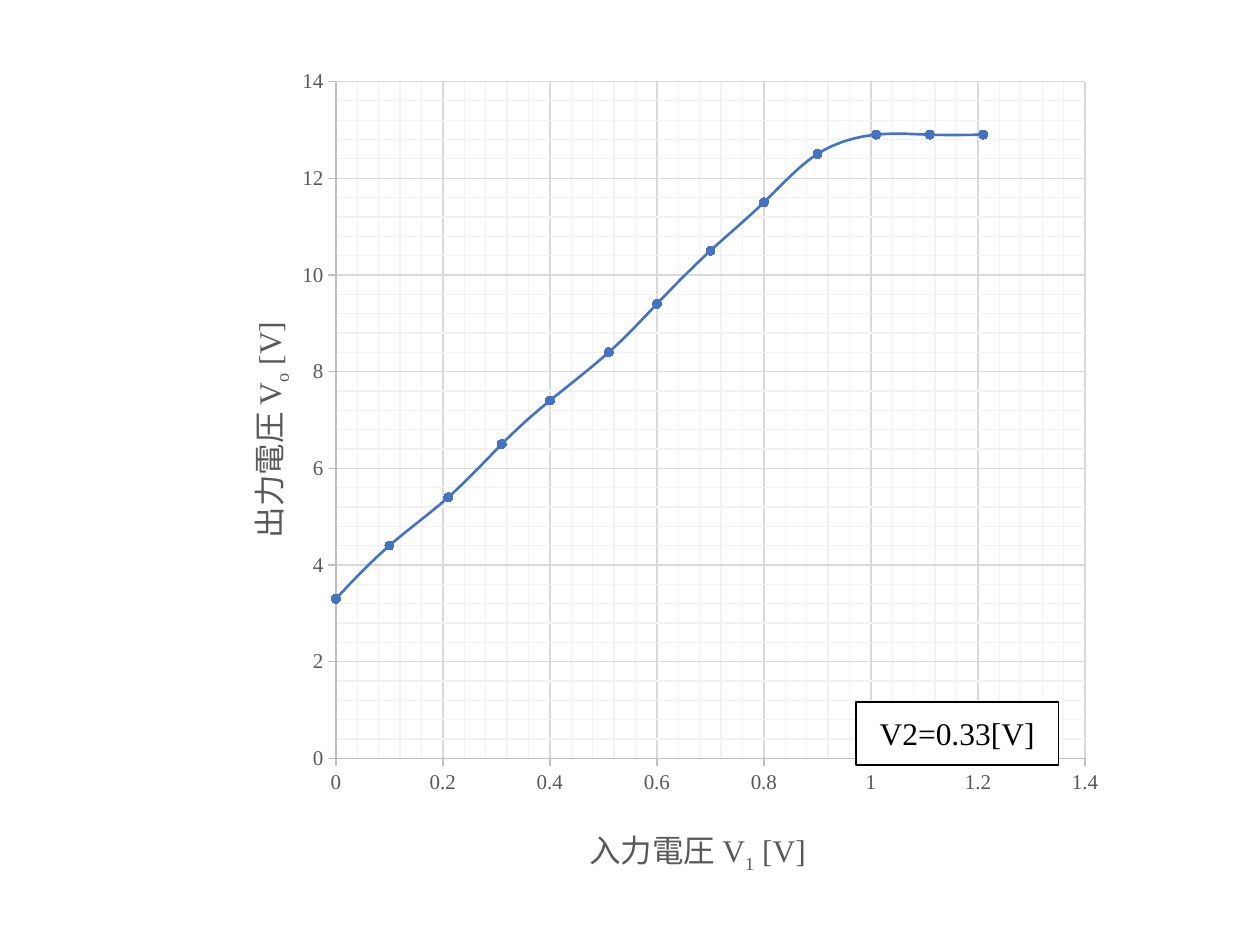
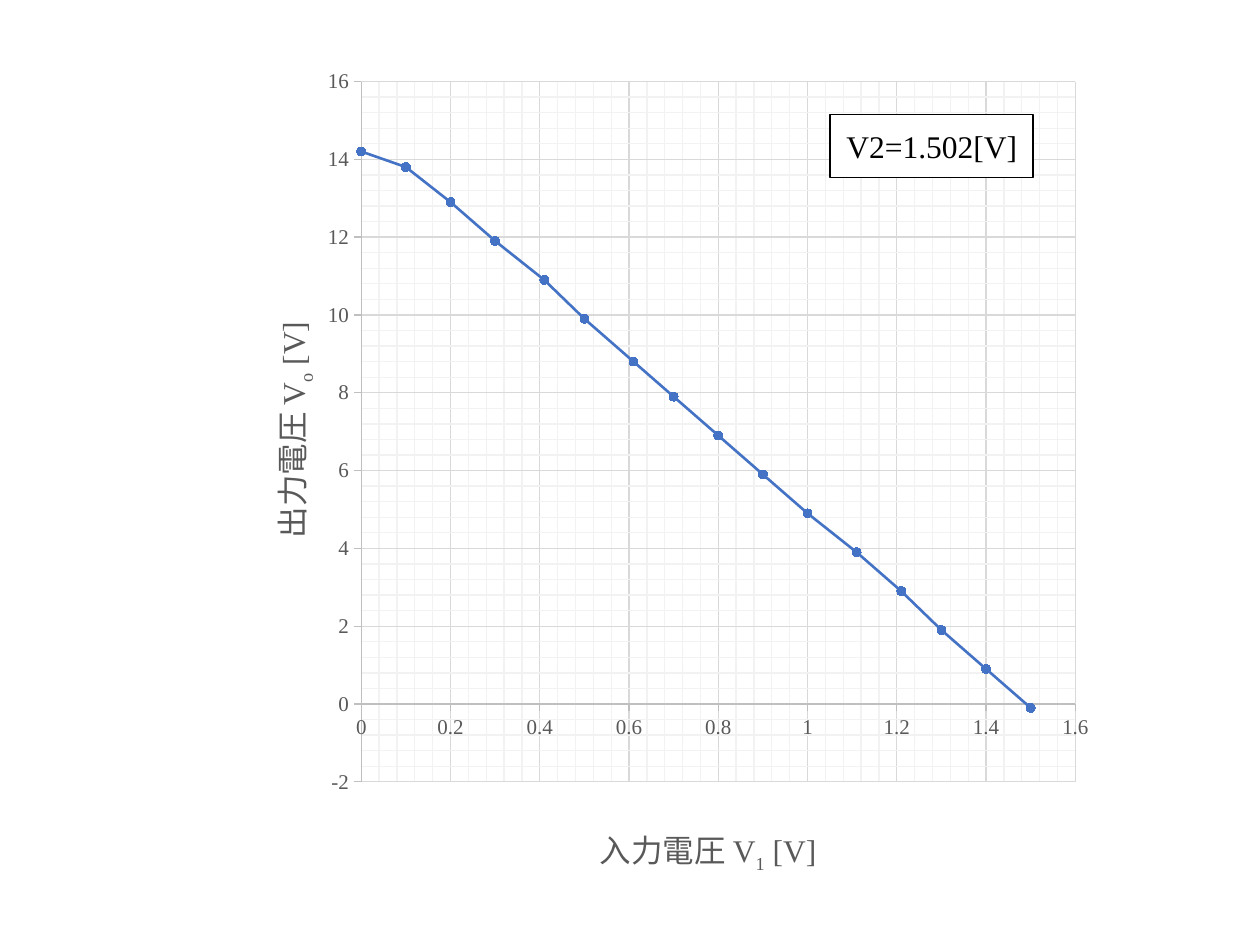
from copy import deepcopy
from lxml.etree import SubElement
from pptx import Presentation
from pptx.chart.data import XyChartData
from pptx.dml.color import RGBColor
from pptx.enum.chart import XL_CHART_TYPE, XL_MARKER_STYLE, XL_TICK_MARK
from pptx.enum.shapes import MSO_SHAPE
from pptx.enum.text import MSO_ANCHOR, PP_ALIGN
from pptx.oxml.ns import qn
from pptx.util import Cm, Pt

FONT = "Times New Roman"
HUES = {"ink": "000000", "paper": "FFFFFF", "label": "595959", "axis": "BFBFBF",
        "major": "D9D9D9", "minor": "F2F2F2", "curve": "4472C4"}
AXIS = {"has_major_gridlines": True, "has_minor_gridlines": True,
        "major_tick_mark": XL_TICK_MARK.OUTSIDE, "minor_tick_mark": XL_TICK_MARK.NONE}
LABEL = {"number_format": "General", "number_format_is_linked": False}
MARK = {"style": XL_MARKER_STYLE.CIRCLE, "size": 5}
CHART = {"has_title": False, "has_legend": False}
NOTE = {"word_wrap": True, "vertical_anchor": MSO_ANCHOR.MIDDLE}


def apply(item, values):
    for name, value in values.items():
        setattr(item, name, value)


def hue(name):
    return RGBColor.from_string(HUES[name])


def type_set(font, size, color):
    apply(font, {"name": FONT, "size": Pt(size), "bold": False})
    font.color.rgb = hue(color)


def fill(item, color):
    item.fill.solid()
    item.fill.fore_color.rgb = hue(color)


def stroke(line, color, width):
    line.color.rgb = hue(color)
    line.width = Pt(width)


def arrange(node, index, **parts):
    """Place a chart part by fractions of the chart box."""
    for old in node.findall(qn("c:layout")):
        node.remove(old)
    frame = SubElement(node, qn("c:layout"))
    node.insert(index, frame)
    spot = SubElement(frame, qn("c:manualLayout"))
    if "w" in parts:
        SubElement(spot, qn("c:layoutTarget")).set("val", "inner")
    for key in "xy":
        SubElement(spot, qn(f"c:{key}Mode")).set("val", "edge")
    for key, part in parts.items():
        SubElement(spot, qn(f"c:{key}")).set("val", str(part))


def add_title(axis, words, sub, x, y, turn):
    title = axis.axis_title
    frame = title.text_frame
    para = frame.paragraphs[0]
    for text in (f"{words} V", sub, " [V]"):
        run = para.add_run()
        run.text = text
        type_set(run.font, 18, "label")
        if text == sub:
            run._r.get_or_add_rPr().set("baseline", "-25000")
    body = frame._txBody.find(qn("a:bodyPr"))
    body.set("rot", str(turn * 60000))
    body.set("vert", "horz")
    arrange(title._element, 1, x=x, y=y)


def add_axis(axis, low, high, step):
    apply(axis, AXIS)
    apply(axis, {"minimum_scale": low, "maximum_scale": high,
                 "major_unit": step, "minor_unit": step / 5})
    stroke(axis.format.line, "axis", 0.75)
    stroke(axis.major_gridlines.format.line, "major", 0.75)
    # Minor grid takes the major line in a lighter colour
    major, minor = (axis._element.find(qn(f"c:{name}Gridlines"))
                    for name in ("major", "minor"))
    look = deepcopy(major.find(qn("c:spPr")))
    next(look.iter(qn("a:srgbClr"))).set("val", HUES["minor"])
    minor.append(look)
    apply(axis.tick_labels, LABEL)
    type_set(axis.tick_labels.font, 12, "label")


def add_graph(slide, box, kind, points, right, low, high, plot):
    data = XyChartData()
    rows = data.add_series("Series 1")
    for x, y in points:
        rows.add_data_point(x, y)
    chart = slide.shapes.add_chart(kind, *map(Cm, box), data).chart
    apply(chart, CHART)
    type_set(chart.font, 10, "ink")
    chart.plots[0].vary_by_categories = False
    # Axes and titles
    add_axis(chart.category_axis, 0, right, 0.2)
    add_axis(chart.value_axis, low, high, 2)
    add_title(chart.category_axis, "入力電圧", "1", 0.42, 0.915, 0)
    add_title(chart.value_axis, "出力電圧", "o", 0.04, 0.316, -90)
    # Curve
    curve = chart.plots[0].series[0]
    smooth = kind == XL_CHART_TYPE.XY_SCATTER_SMOOTH
    curve._element.find(qn("c:smooth")).set("val", str(int(smooth)))
    stroke(curve.format.line, "curve", 1.5)
    apply(curve.marker, MARK)
    fill(curve.marker.format, "curve")
    stroke(curve.marker.format.line, "curve", 0.75)
    # Plot area
    area = next(chart._chartSpace.iter(qn("c:plotArea")))
    arrange(area, 0, **dict(zip("xywh", plot)))


def add_note(slide, box, text, dx, dy):
    left, top = box[:2]
    note = slide.shapes.add_shape(MSO_SHAPE.RECTANGLE, Cm(left + dx), Cm(top + dy),
                                  Cm(4.09), Cm(1.27))
    note.shadow.inherit = False
    fill(note, "paper")
    stroke(note.line, "ink", 1)
    apply(note.text_frame, NOTE)
    para = note.text_frame.paragraphs[0]
    para.alignment = PP_ALIGN.CENTER
    run = para.add_run()
    run.text = text
    type_set(run.font, 18, "ink")


RISE = zip([0, 0.1, 0.21, 0.31, 0.4, 0.51, 0.6, 0.7, 0.8, 0.9, 1.01, 1.11, 1.21],
           [3.3, 4.4, 5.4, 6.5, 7.4, 8.4, 9.4, 10.5, 11.5, 12.5, 12.9, 12.9, 12.9])
FALL = zip([0, 0.1, 0.2, 0.3, 0.41, 0.5, 0.61, 0.7, 0.8, 0.9, 1, 1.11, 1.21, 1.3, 1.4, 1.5],
           [14.2, 13.8, 12.9, 11.9, 10.9, 9.9, 8.8, 7.9, 6.9, 5.9, 4.9, 3.9, 2.9, 1.9,
            0.9, -0.1])
SLIDES = [
    {"box": (4.06, 1.07, 18.44, 16.89),
     "graph": (XL_CHART_TYPE.XY_SCATTER_SMOOTH, RISE, 1.4, 0, 14,
               (0.147, 0.034, 0.819, 0.808)),
     "note": ("V2=0.33[V]", 13.19, 13.08)},
    {"box": (4.57, 1.07, 17.73, 16.89),
     "graph": (XL_CHART_TYPE.XY_SCATTER_LINES, FALL, 1.6, -2, 16,
               (0.153, 0.034, 0.812, 0.836)),
     "note": ("V2=1.502[V]", 12.17, 1.24)},
]

deck = Presentation()
apply(deck, {"slide_width": Cm(25.4), "slide_height": Cm(19.05)})
for page in SLIDES:
    slide = deck.slides.add_slide(deck.slide_layouts[6])
    add_graph(slide, page["box"], *page["graph"])
    add_note(slide, page["box"], *page["note"])
deck.save("out.pptx")
